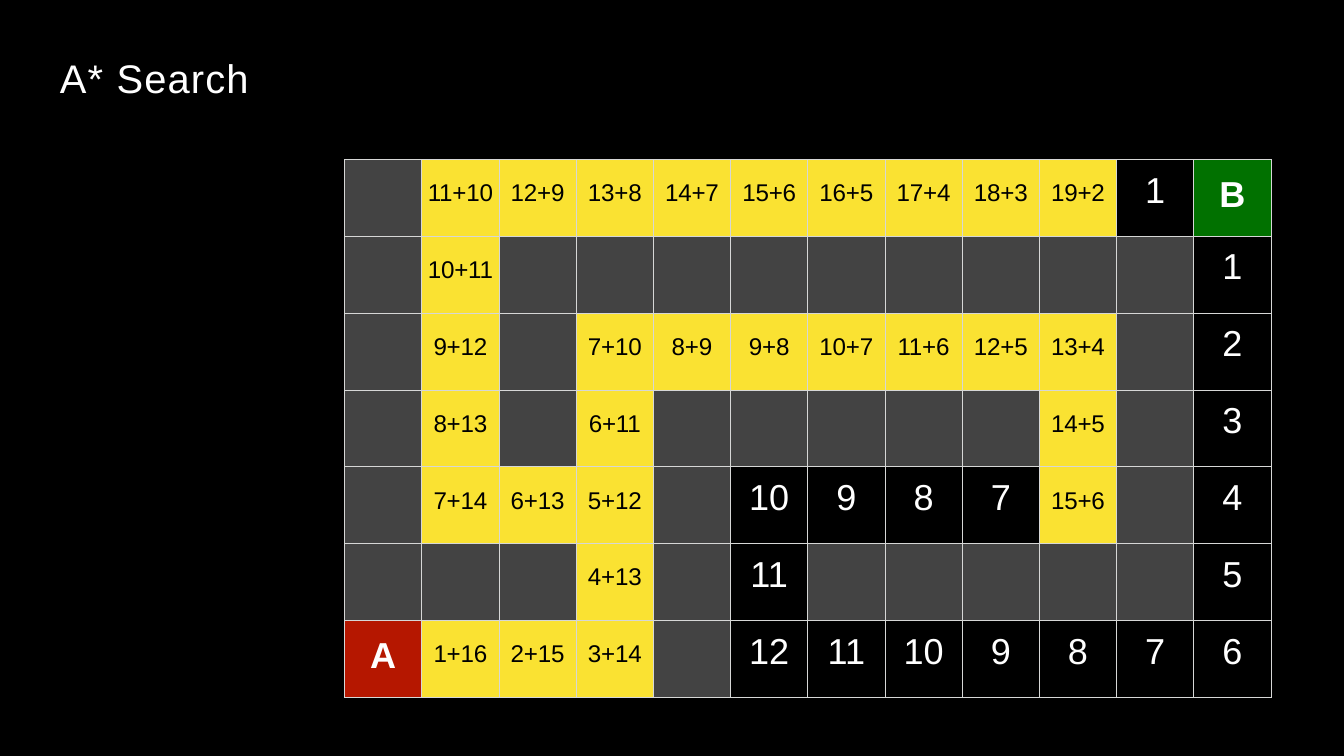
from dataclasses import dataclass

from lxml.etree import SubElement
from pptx import Presentation
from pptx.dml.color import RGBColor
from pptx.enum.text import MSO_VERTICAL_ANCHOR as Anchor, PP_PARAGRAPH_ALIGNMENT as Align
from pptx.oxml.ns import qn
from pptx.slide import Slide
from pptx.table import _Cell as Cell
from pptx.text.text import _Paragraph as Paragraph
from pptx.util import Pt

BLACK = RGBColor(0x00, 0x00, 0x00)
WHITE = RGBColor(0xFF, 0xFF, 0xFF)
YELLOW = RGBColor(0xFA, 0xE2, 0x32)
GREY = RGBColor(0x43, 0x43, 0x43)
RED = RGBColor(0xB5, 0x17, 0x00)
GREEN = RGBColor(0x01, 0x71, 0x00)
BORDER = RGBColor(0xD6, 0xD7, 0xD6)

COLUMN_WIDTH = Pt(90.96)
ROW_HEIGHT = Pt(90.5)

MAZE = [
    "# 11+10 12+9 13+8 14+7 15+6 16+5 17+4 18+3 19+2 1 B",
    "# 10+11 # # # # # # # # # 1",
    "# 9+12 # 7+10 8+9 9+8 10+7 11+6 12+5 13+4 # 2",
    "# 8+13 # 6+11 # # # # # 14+5 # 3",
    "# 7+14 6+13 5+12 # 10 9 8 7 15+6 # 4",
    "# # # 4+13 # 11 # # # # # 5",
    "A 1+16 2+15 3+14 # 12 11 10 9 8 7 6",
]


@dataclass(frozen=True)
class TextStyle:
    size: float
    color: RGBColor
    bold: bool = False
    spacing: float = 0


@dataclass(frozen=True)
class CellStyle:
    fill: RGBColor
    text: TextStyle
    margin_top: float


TITLE = TextStyle(47, WHITE, spacing=1.4)
COST = TextStyle(42.5, WHITE)
ENDPOINT = TextStyle(42.5, WHITE, bold=True)
EXPLORED = CellStyle(YELLOW, TextStyle(28.5, BLACK, spacing=-0.2), 24)
UNEXPLORED = CellStyle(BLACK, COST, 13)
SPECIAL = {
    "#": CellStyle(GREY, COST, 13),
    "A": CellStyle(RED, ENDPOINT, 18),
    "B": CellStyle(GREEN, ENDPOINT, 18.5),
}


def style_for(label: str) -> CellStyle:
    return SPECIAL.get(label, EXPLORED if "+" in label else UNEXPLORED)


def write_text(paragraph: Paragraph, text: str, style: TextStyle) -> None:
    run = paragraph.add_run()
    run.text = text
    formats = {"name": "Arial", "size": Pt(style.size), "bold": style.bold}
    for name, value in formats.items():
        setattr(run.font, name, value)
    run.font.color.rgb = style.color
    run.font._element.set("spc", str(round(style.spacing * 100)))


def add_borders(cell: Cell) -> None:
    properties = cell._tc.get_or_add_tcPr()
    for side in ("lnL", "lnR", "lnT", "lnB"):
        line = SubElement(properties, qn(f"a:{side}"), w=str(Pt(1)))
        fill = SubElement(line, qn("a:solidFill"))
        SubElement(fill, qn("a:srgbClr"), val=str(BORDER))


def fill_cell(cell: Cell, label: str) -> None:
    style = style_for(label)
    formats = {
        "margin_left": 0,
        "margin_top": Pt(style.margin_top),
        "margin_right": 0,
        "margin_bottom": 0,
        "vertical_anchor": Anchor.TOP,
    }
    for name, value in formats.items():
        setattr(cell, name, value)
    add_borders(cell)
    cell.fill.solid()
    cell.fill.fore_color.rgb = style.fill
    if label != "#":
        paragraph = cell.text_frame.paragraphs[0]
        paragraph.alignment = Align.CENTER
        write_text(paragraph, label, style.text)


def add_title(slide: Slide) -> None:
    shape = slide.shapes.add_textbox(Pt(69.5), Pt(62), Pt(227), Pt(58))
    frame = shape.text_frame
    formats = {
        "word_wrap": True,
        "margin_left": Pt(1),
        "margin_top": Pt(1),
        "margin_right": 0,
        "margin_bottom": 0,
    }
    for name, value in formats.items():
        setattr(frame, name, value)
    write_text(frame.paragraphs[0], "A* Search", TITLE)


def add_maze(slide: Slide) -> None:
    rows = [row.split() for row in MAZE]
    row_count, column_count = len(rows), len(rows[0])
    shape = slide.shapes.add_table(
        row_count, column_count, Pt(406), Pt(188),
        COLUMN_WIDTH * column_count, ROW_HEIGHT * row_count,
    )
    table = shape.table
    table.first_row = False
    table.horz_banding = False
    for column in table.columns:
        column.width = COLUMN_WIDTH
    for table_row, labels in zip(table.rows, rows):
        table_row.height = ROW_HEIGHT
        for cell, label in zip(table_row.cells, labels):
            fill_cell(cell, label)


def main() -> None:
    presentation = Presentation()
    presentation.slide_width = Pt(1583.28)
    presentation.slide_height = Pt(890.64)
    slide = presentation.slides.add_slide(presentation.slide_layouts[6])
    background = slide.background.fill
    background.solid()
    background.fore_color.rgb = BLACK
    add_maze(slide)
    add_title(slide)
    presentation.save("out.pptx")


if __name__ == "__main__":
    main()
